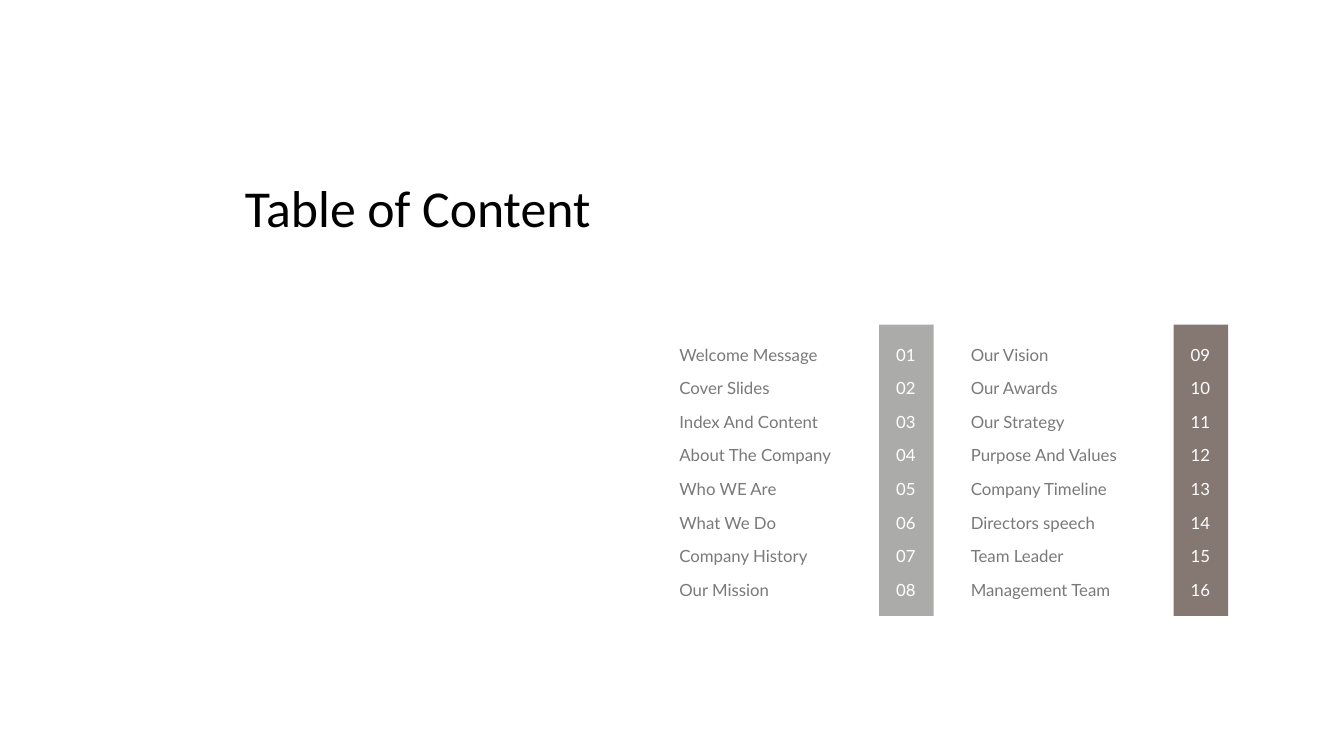
from pptx import Presentation
from pptx.dml.color import RGBColor
from pptx.enum.shapes import MSO_SHAPE
from pptx.enum.text import MSO_ANCHOR, PP_ALIGN
from pptx.util import Inches, Pt

LEFT_ITEMS = ["Welcome Message", "Cover Slides", "Index And Content", "About The Company",
              "Who WE Are", "What We Do", "Company History", "Our Mission"]
RIGHT_ITEMS = ["Our Vision", "Our Awards", "Our Strategy", "Purpose And Values",
               "Company Timeline", "Directors speech", "Team Leader", "Management Team"]


def rgb(value):
    return RGBColor.from_string(value)


def write(tf, lines, font="Lato", size=12, color="797979", align=PP_ALIGN.LEFT,
          anchor=MSO_ANCHOR.MIDDLE, spacing=None, inset=0.1):
    """Fill a text frame with one paragraph per line."""
    tf.word_wrap = True
    tf.vertical_anchor = anchor
    tf.margin_left = tf.margin_right = Inches(inset)
    tf.margin_top = tf.margin_bottom = Inches(0.05)
    for i, line in enumerate(lines):
        p = tf.add_paragraph() if i else tf.paragraphs[0]
        p.alignment = align
        if spacing:
            p.line_spacing = Pt(spacing)
        r = p.add_run()
        r.text = line
        r.font.name = font
        r.font.size = Pt(size)
        r.font.color.rgb = rgb(color)


class ContentSlide:
    font = "Lato"
    top, height = 3.24, 2.75
    line_pitch = 24

    def __init__(self, prs):
        self.s = prs.slides.add_slide(prs.slide_layouts[5])
        self.s.background.fill.solid()
        self.s.background.fill.fore_color.rgb = rgb("FFFFFF")

    def title(self, text, x, y, w, h):
        sp = self.s.shapes.title
        sp.left, sp.top, sp.width, sp.height = map(Inches, (x, y, w, h))
        write(sp.text_frame, [text], font="Calibri", size=37, color="000000",
              anchor=MSO_ANCHOR.TOP)

    def bar(self, x, color):
        sp = self.s.shapes.add_shape(MSO_SHAPE.RECTANGLE, Inches(x), Inches(3.22),
                                     Inches(0.54), Inches(2.89))
        sp.shadow.inherit = False
        sp.fill.solid()
        sp.fill.fore_color.rgb = rgb(color)
        sp.line.fill.background()

    def column(self, lines, x, w, **fmt):
        sp = self.s.shapes.add_textbox(Inches(x), Inches(self.top), Inches(w),
                                       Inches(self.height))
        write(sp.text_frame, lines, font=self.font, spacing=self.line_pitch, **fmt)


def main():
    prs = Presentation()
    prs.slide_width, prs.slide_height = Inches(13.33), Inches(7.5)
    slide = ContentSlide(prs)

    # Heading
    slide.title("Table of Content", 2.33, 1.69, 4.24, 0.72)

    # Topic columns, each with its bar of running numbers
    first = 1
    for items, x, w, bar_x, color in [(LEFT_ITEMS, 6.64, 2.24, 8.72, "ABACAA"),
                                      (RIGHT_ITEMS, 9.53, 2.11, 11.64, "857873")]:
        numbers = [f"{n:02d}" for n in range(first, first + len(items))]
        slide.column(items, x, w)
        slide.bar(bar_x, color)
        slide.column(numbers, bar_x + 0.06, 0.41, color="FFFFFF",
                     align=PP_ALIGN.CENTER, inset=0)
        first += len(items)

    prs.save("out.pptx")


if __name__ == "__main__":
    main()
